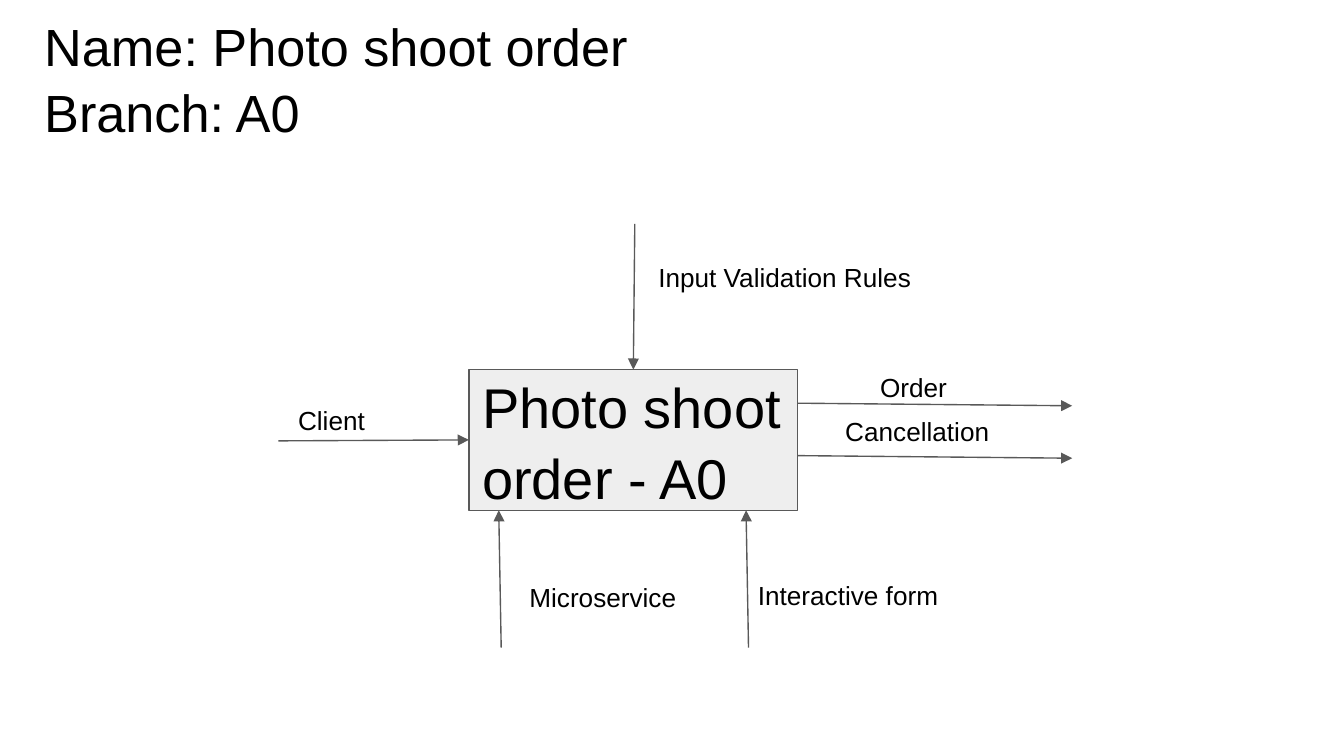
from dataclasses import dataclass

from lxml import etree
from pptx import Presentation
from pptx.dml.color import RGBColor
from pptx.enum.shapes import MSO_CONNECTOR, MSO_SHAPE
from pptx.enum.text import MSO_ANCHOR, PP_ALIGN
from pptx.oxml.ns import qn
from pptx.util import Pt

RECTANGLE = MSO_SHAPE.RECTANGLE
STRAIGHT = MSO_CONNECTOR.STRAIGHT
TOP, MIDDLE = MSO_ANCHOR.TOP, MSO_ANCHOR.MIDDLE
LEFT = PP_ALIGN.LEFT

FONT = "Arial"
BLACK, GREY, LIGHT_GREY = "000000", "595959", "EEEEEE"
LINE_WIDTH = 0.75
INSET = 7.2
LINE_SPACING = 1.05

BOX_LEFT, BOX_TOP, BOX_WIDTH, BOX_HEIGHT = 251.2, 198, 176.2, 75.4
BOX_RIGHT = BOX_LEFT + BOX_WIDTH
BOX_BOTTOM = BOX_TOP + BOX_HEIGHT


@dataclass
class Label:
    text: str
    left: float
    top: float
    width: float
    height: float
    size: float = 14


@dataclass
class Arrow:
    start_x: float
    start_y: float
    end_x: float
    end_y: float


TITLE = Label("Name: Photo shoot order\nBranch: A0", 16.6, -1.4, 671, 71.3, 28)
PROCESS = Label("Photo shoot order - A0", BOX_LEFT, BOX_TOP, BOX_WIDTH, BOX_HEIGHT, 30)

LABELS = [
    Label("Input Validation Rules", 345.6, 131.8, 155.5, 20.9),
    Label("Order", 464.4, 192.2, 72, 13),
    Label("Cancellation", 445.7, 214.6, 108.7, 20.9),
    Label("Microservice", 276.5, 304.6, 114.5, 13),
    Label("Interactive form", 398.9, 303.8, 128.2, 13),
    Label("Client", 152.6, 208.8, 79.9, 20.9),
]

OUTPUT_ARROWS = [Arrow(BOX_RIGHT, y, 574.4, y + 1.4) for y in (216, 244.1)]
MECHANISM_ARROWS = [Arrow(x + 1.3, 347, x, BOX_BOTTOM) for x in (267.2, 399.7)]
CONTROL_ARROW = Arrow(340.1, 120, 339.3, BOX_TOP)
INPUT_ARROW = Arrow(149.2, 236.2, BOX_LEFT, 235.7)


def color(value: str) -> RGBColor:
    return RGBColor.from_string(value)


def write_text(shape, label: Label, anchor=TOP) -> None:
    frame = shape.text_frame
    frame.text = label.text
    frame.word_wrap = True
    frame.vertical_anchor = anchor
    frame.margin_left = frame.margin_right = Pt(INSET)
    frame.margin_top = frame.margin_bottom = Pt(INSET)
    for paragraph in frame.paragraphs:
        paragraph.alignment = LEFT
        paragraph.line_spacing = LINE_SPACING
        for run in paragraph.runs:
            run.font.name = FONT
            run.font.size = Pt(label.size)
            run.font.color.rgb = color(BLACK)


def bounds(label: Label) -> tuple:
    return Pt(label.left), Pt(label.top), Pt(label.width), Pt(label.height)


def add_label(slide, label: Label) -> None:
    write_text(slide.shapes.add_textbox(*bounds(label)), label)


def add_process(slide, label: Label) -> None:
    shape = slide.shapes.add_shape(RECTANGLE, *bounds(label))
    shape.shadow.inherit = False
    shape.fill.solid()
    shape.fill.fore_color.rgb = color(LIGHT_GREY)
    shape.line.color.rgb = color(GREY)
    shape.line.width = Pt(LINE_WIDTH)
    write_text(shape, label, MIDDLE)


def add_arrow(slide, arrow: Arrow) -> None:
    connector = slide.shapes.add_connector(
        STRAIGHT, Pt(arrow.start_x), Pt(arrow.start_y), Pt(arrow.end_x), Pt(arrow.end_y)
    )
    connector.line.color.rgb = color(GREY)
    connector.line.width = Pt(LINE_WIDTH)
    properties = connector.element.spPr
    etree.SubElement(properties.find(qn("a:ln")), qn("a:tailEnd"), type="triangle")
    etree.SubElement(properties, qn("a:effectLst"))


def main() -> None:
    presentation = Presentation()
    presentation.slide_width = Pt(720)
    presentation.slide_height = Pt(405)
    slide = presentation.slides.add_slide(presentation.slide_layouts[6])

    add_label(slide, TITLE)
    add_process(slide, PROCESS)
    for arrow in [*OUTPUT_ARROWS, CONTROL_ARROW, INPUT_ARROW, *MECHANISM_ARROWS]:
        add_arrow(slide, arrow)
    for label in LABELS:
        add_label(slide, label)

    presentation.save("out.pptx")


if __name__ == "__main__":
    main()
